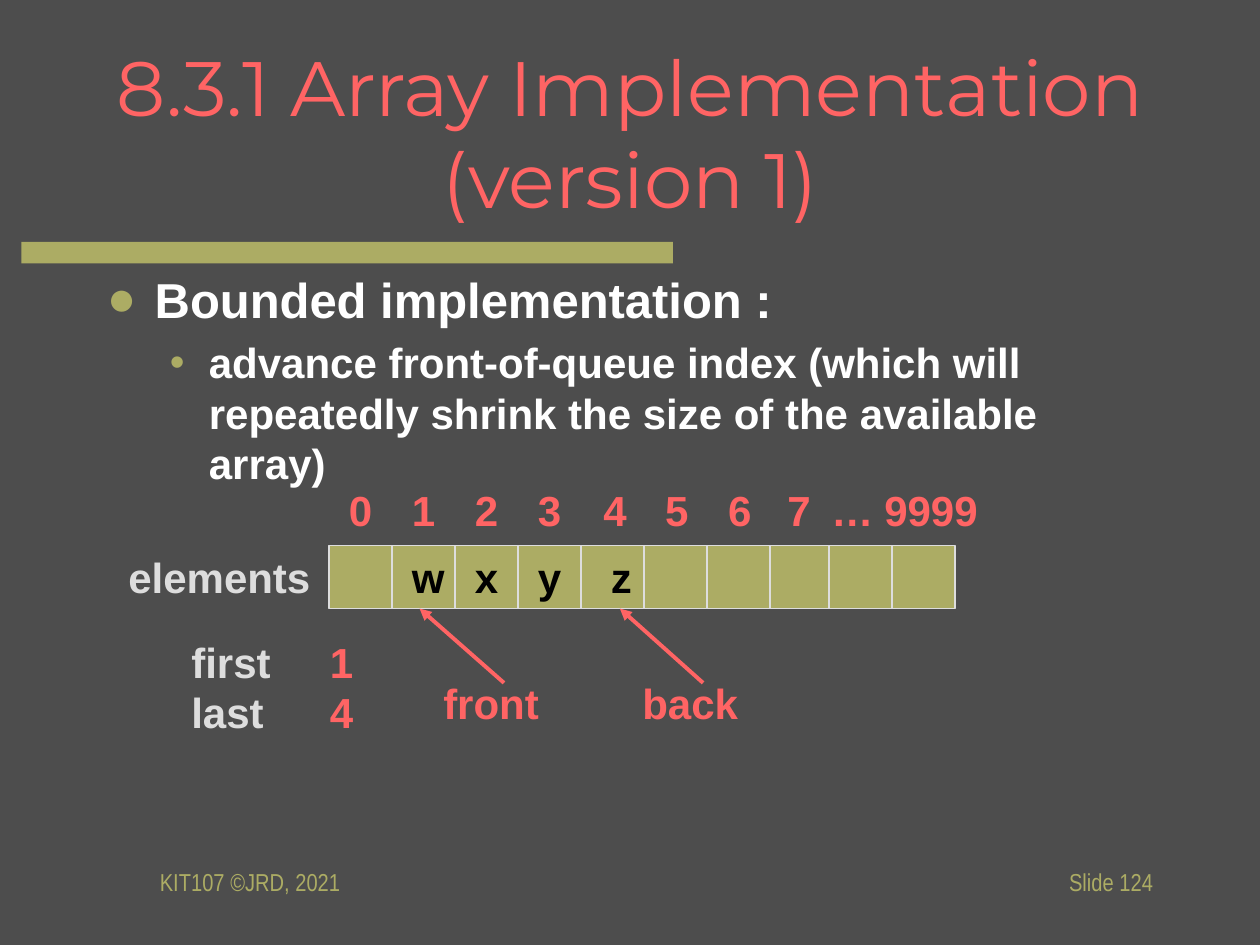
from pptx import Presentation, util as u
from pptx.dml.color import RGBColor
from pptx.enum import shapes, text
from pptx.oxml import parse_xml
from pptx.oxml.ns import nsdecls

WIDE, HIGH = 10, 7.5
CORAL, OLIVE, PALE = "FF6464", "ACAC64", "DDDDDD"
WHITE, BLACK, GREY = "FFFFFF", "000000", "4D4D4D"
ROW, TALL, UNIT = 4.33, 0.5, 0.5  # array top, cell height, cell width
LEFT = 2.61


def color(code):
    return RGBColor.from_string(code)


def node(tag, attrs="", inner=""):
    return parse_xml(f"<a:{tag} {nsdecls('a')} {attrs}>{inner}</a:{tag}>")


def style(part, size, code, bold=True, face="Arial"):
    font = part.font
    font.size, font.name, font.bold = u.Pt(size), face, bold
    font.color.rgb = color(code)


def add_box(slide, x, y, w, h, lines, size, code, bold=True, face="Arial",
            wrap=False, align="LEFT", anchor="TOP"):
    box = slide.shapes.add_textbox(*map(u.Inches, (x, y, w, h)))
    frame = box.text_frame
    frame.text = lines
    frame.word_wrap = wrap
    frame.vertical_anchor = text.MSO_ANCHOR[anchor]
    for para in frame.paragraphs:
        para.alignment = text.PP_ALIGN[align]
        for run in para.runs:
            style(run, size, code, bold, face)
    return frame


def add_rect(slide, x, y, w, h, edge=None):
    rect = slide.shapes.add_shape(shapes.MSO_SHAPE.RECTANGLE,
                                  *map(u.Inches, (x, y, w, h)))
    rect.shadow.inherit = False
    rect.fill.solid()
    rect.fill.fore_color.rgb = color(OLIVE)
    if edge:
        rect.line.color.rgb = color(edge)
        rect.line.width = u.Pt(1)
    else:
        rect.line.fill.background()
    return rect


def add_line(slide, start, end, code, width):
    line = slide.shapes.add_connector(shapes.MSO_CONNECTOR.STRAIGHT,
                                      *map(u.Inches, start + end))
    line.line.color.rgb = color(code)
    line.line.width = u.Pt(width)
    line._element.spPr.append(node("effectLst"))
    return line


def add_pair(slide, x):
    """Two neighbouring cells: a rectangle with a divider."""
    rect = add_rect(slide, x, ROW, 2 * UNIT, TALL, PALE)
    mid = x + UNIT
    line = add_line(slide, (mid, ROW), (mid, ROW + TALL), PALE, 1)
    line.begin_connect(rect, 0)
    line.end_connect(rect, 2)


def add_arrow(slide, x, tip, label, w):
    """A label with an arrow up to the foot of the array."""
    add_box(slide, x, 5.33, w, TALL, label, 24, CORAL)
    line = add_line(slide, (x + 0.58, 5.42), (tip, ROW + TALL), CORAL, 2.25)
    line.line._get_or_add_ln().append(node("tailEnd", 'type="triangle"'))


def add_bullets(slide):
    frame = add_box(slide, 0.75, 1.92, 8.5, 2.17,
                    "Bounded implementation :\n"
                    "advance front-of-queue index (which will repeatedly "
                    "shrink the size of the available array)",
                    28, WHITE, wrap=True, anchor="MIDDLE")
    levels = [("●", 0.38, 0.38, 28, 0), ("•", 0.81, 0.31, 24, 5)]
    for depth, (para, rule) in enumerate(zip(frame.paragraphs, levels)):
        mark, margin, hang, size, gap = rule
        props = para._p.get_or_add_pPr()
        props.set("marL", str(u.Inches(margin)))
        props.set("indent", str(-u.Inches(hang)))
        props.append(node("buClr", inner=f'<a:srgbClr val="{OLIVE}"/>'))
        props.append(node("buFont", 'typeface="Arial"'))
        props.append(node("buChar", f'char="{mark}"'))
        para.level = depth
        para.space_before = u.Pt(gap)
        para.runs[0].font.size = u.Pt(size)


def add_state(slide):
    """Values of first and last, lined up by a tab stop."""
    frame = add_box(slide, 1.42, 5, 1.51, 0.9, "first\t\nlast\t", 24, PALE,
                    wrap=True)
    for para, value in zip(frame.paragraphs, "14"):
        stop = f'<a:tab pos="{u.Inches(1.1)}" algn="l"/>'
        para._p.get_or_add_pPr().append(node("tabLst", inner=stop))
        run = para.add_run()
        run.text = value
        style(run, 24, CORAL)


def add_array(slide):
    for x in (LEFT, LEFT + 1, LEFT + 2, LEFT + 3, 6.58):
        add_pair(slide, x)
    # Indices above the cells
    spots = (2.67, 3.17, 3.67, 4.17, 4.69, 5.18, 5.68, 6.15)
    for index, x in enumerate(spots):
        add_box(slide, x, 3.8, 0.39, TALL, str(index), 24, CORAL)
    add_box(slide, 6.5, 3.8, 0.53, TALL, "…", 24, CORAL)
    add_box(slide, 6.92, 3.8, 0.94, TALL, "9999", 24, CORAL)
    # Contents and name
    for item, x, w in (("w", 3.17, 0.46), ("x", 3.67, 0.39),
                       ("y", 4.17, 0.39), ("z", 4.75, 0.37)):
        add_box(slide, x, ROW, w, TALL, item, 24, BLACK)
    add_box(slide, 0.92, ROW, 1.65, TALL, "elements", 24, PALE)


def main():
    deck = Presentation()
    deck.slide_width, deck.slide_height = u.Inches(WIDE), u.Inches(HIGH)
    slide = deck.slides.add_slide(deck.slide_layouts[6])
    slide.background.fill.solid()
    slide.background.fill.fore_color.rgb = color(GREY)

    # Heading and bullets
    add_rect(slide, 0.17, 1.92, 5.17, 0.17)
    add_box(slide, 0.17, 0.42, 9.67, 1.25,
            "8.3.1 Array Implementation (version 1)", 44, CORAL, False,
            "Montserrat", True, "CENTER", "MIDDLE")
    add_bullets(slide)

    # Array diagram
    add_array(slide)
    add_state(slide)
    add_arrow(slide, 3.42, 3.33, "front", 0.96)
    add_arrow(slide, 5, 4.92, "back", 0.96)

    # Footer
    for x, words, align in ((1.17, "KIT107 ©JRD, 2021", "LEFT"),
                            (7.17, "Slide 124", "RIGHT")):
        add_box(slide, x, 6.75, 2.08, 0.5, words, 14, OLIVE, False,
                "Arial Narrow", True, align, "MIDDLE")
    deck.save("out.pptx")


if __name__ == "__main__":
    main()
